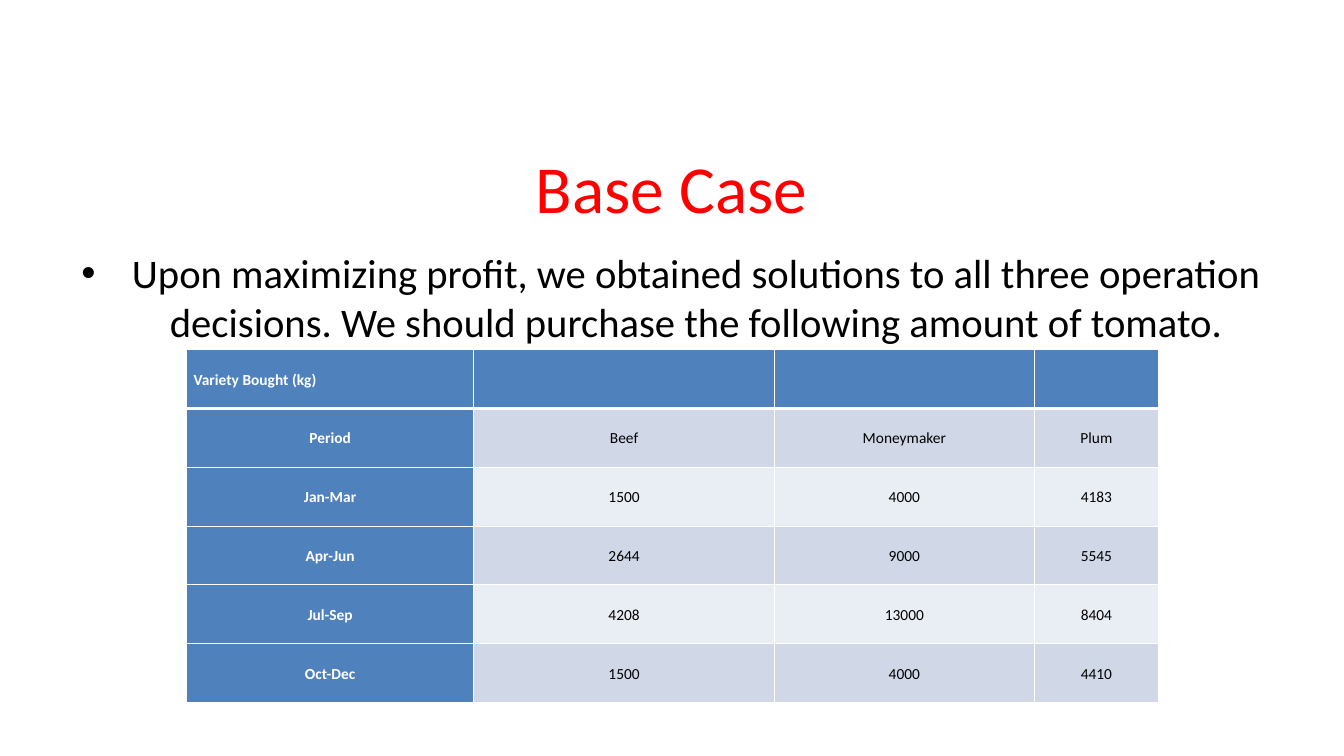
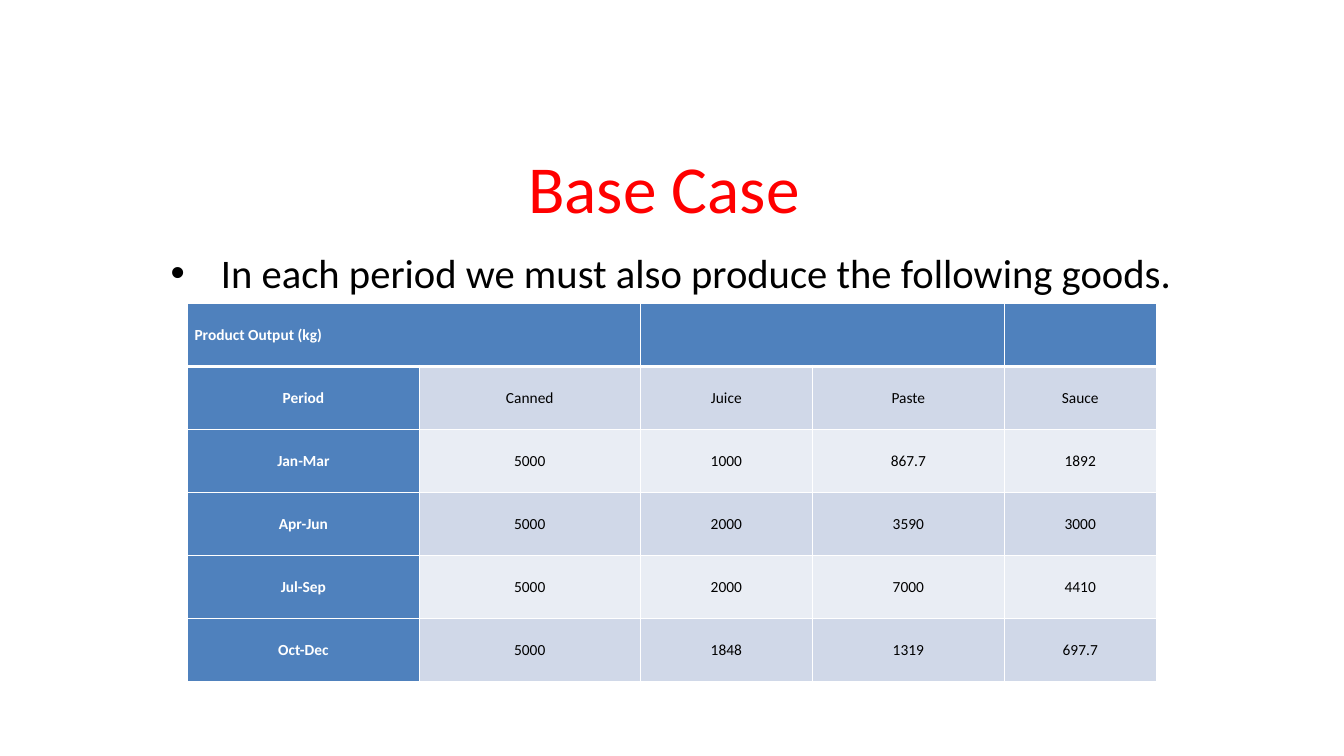
from itertools import product
from lxml.etree import SubElement
from pptx import Presentation
from pptx.dml.color import RGBColor
from pptx.enum.text import MSO_ANCHOR, PP_ALIGN
from pptx.oxml.ns import qn
from pptx.util import Emu, Pt

# Shared style
FONT = "Calibri"
RED, BLACK, WHITE = "FF0000", "000000", "FFFFFF"
BLUE, BAND_DARK, BAND_LIGHT = "4F81BD", "D0D8E8", "E9EDF4"
TEXT_LEFT, TEXT_WIDTH = 65, 1202
PERIODS = ["Jan-Mar", "Apr-Jun", "Jul-Sep", "Oct-Dec"]


def px(n):
    """Length in EMU at 100 px to the inch."""
    return Emu(round(n * 9144))


def rgb(color):
    return RGBColor.from_string(color)


def add_run(p, text, size, color, bold=False):
    r = p.add_run()
    r.text = text
    r.font.name = FONT
    r.font.size = Pt(size)
    r.font.bold = bold
    r.font.color.rgb = rgb(color)


def add_text(s, top, height, text, size, color, anchor):
    """Centred text across the slide; returns its paragraph."""
    sp = s.shapes.add_textbox(px(TEXT_LEFT), px(top), px(TEXT_WIDTH), px(height))
    tf = sp.text_frame
    tf.word_wrap = True
    tf.vertical_anchor = anchor
    p = tf.paragraphs[0]
    p.alignment = PP_ALIGN.CENTER
    add_run(p, text, size, color)
    return p


def add_title(s, text):
    add_text(s, 130, 111, text, 48, RED, MSO_ANCHOR.MIDDLE)


def add_bullet(s, text):
    p = add_text(s, 241, 468, text, 29, BLACK, MSO_ANCHOR.TOP)
    pPr = p._p.get_or_add_pPr()
    pPr.set("marL", str(px(50)))
    pPr.set("indent", str(px(-50)))
    SubElement(pPr, qn("a:buFont"), typeface="Arial")
    SubElement(pPr, qn("a:buChar"), char="•")


def set_borders(cell, top, bottom):
    """White borders; top and bottom widths in points."""
    tcPr = cell._tc.get_or_add_tcPr()
    for side, width in (("L", 1), ("R", 1), ("T", top), ("B", bottom)):
        ln = SubElement(tcPr, qn("a:ln" + side), w=str(Pt(width)))
        fill = SubElement(ln, qn("a:solidFill"))
        SubElement(fill, qn("a:srgbClr"), val=WHITE)


def style_cell(cell, row, col, text):
    heading = row == 0 or col == 0
    set_borders(cell, 3 if row == 1 else 1, 3 if row == 0 else 1)
    cell.fill.solid()
    band = BAND_DARK if row % 2 else BAND_LIGHT
    cell.fill.fore_color.rgb = rgb(BLUE if heading else band)
    cell.vertical_anchor = MSO_ANCHOR.MIDDLE
    cell.margin_left = cell.margin_right = px(7)
    cell.margin_top = cell.margin_bottom = 0
    if text:
        p = cell.text_frame.paragraphs[0]
        p.alignment = PP_ALIGN.LEFT if row == 0 else PP_ALIGN.CENTER
        p.line_spacing = 1.07
        p.space_after = Pt(8)
        add_run(p, text, 11, WHITE if heading else BLACK, heading)


def add_data_table(s, left, top, height, widths, caption, names, values, merges=()):
    """Caption row, column names, then one row for each period."""
    rows = [[caption] + [""] * len(names), ["Period"] + names]
    rows += [[period] + line for period, line in zip(PERIODS, values)]
    table = s.shapes.add_table(len(rows), len(widths), px(left), px(top),
                               px(sum(widths)), px(height)).table
    for column, width in zip(table.columns, widths):
        column.width = px(width)
    for row in table.rows:
        row.height = px(height / len(rows))
    for first, last in merges:
        table.cell(0, first).merge(table.cell(0, last))
    for i, j in product(range(len(rows)), range(len(widths))):
        style_cell(table.cell(i, j), i, j, rows[i][j])


def add_slide(prs, title, bullet):
    s = prs.slides.add_slide(prs.slide_layouts[6])
    add_title(s, title)
    add_bullet(s, bullet)
    return s


def main():
    prs = Presentation()
    prs.slide_width, prs.slide_height = px(1333), px(750)

    # Purchases
    s = add_slide(prs, "Base Case",
                  "Upon maximizing profit, we obtained solutions to all three operation "
                  "decisions. We should purchase the following amount of tomato.")
    add_data_table(s, 185, 347, 350, [285, 298, 258, 123], "Variety Bought (kg)",
                   ["Beef", "Moneymaker", "Plum"],
                   [["1500", "4000", "4183"],
                    ["2644", "9000", "5545"],
                    ["4208", "13000", "8404"],
                    ["1500", "4000", "4410"]])

    # Production
    s = add_slide(prs, "Base Case ",
                  "In each period we must also produce the following goods.")
    add_data_table(s, 186, 301, 375, [230, 219, 171, 190, 151], "Product Output (kg)",
                   ["Canned", "Juice", "Paste", "Sauce"],
                   [["5000", "1000", "867.7", "1892"],
                    ["5000", "2000", "3590", "3000"],
                    ["5000", "2000", "7000", "4410"],
                    ["5000", "1848", "1319", "697.7"]],
                   merges=[(0, 1), (2, 3)])

    prs.save("out.pptx")


if __name__ == "__main__":
    main()
